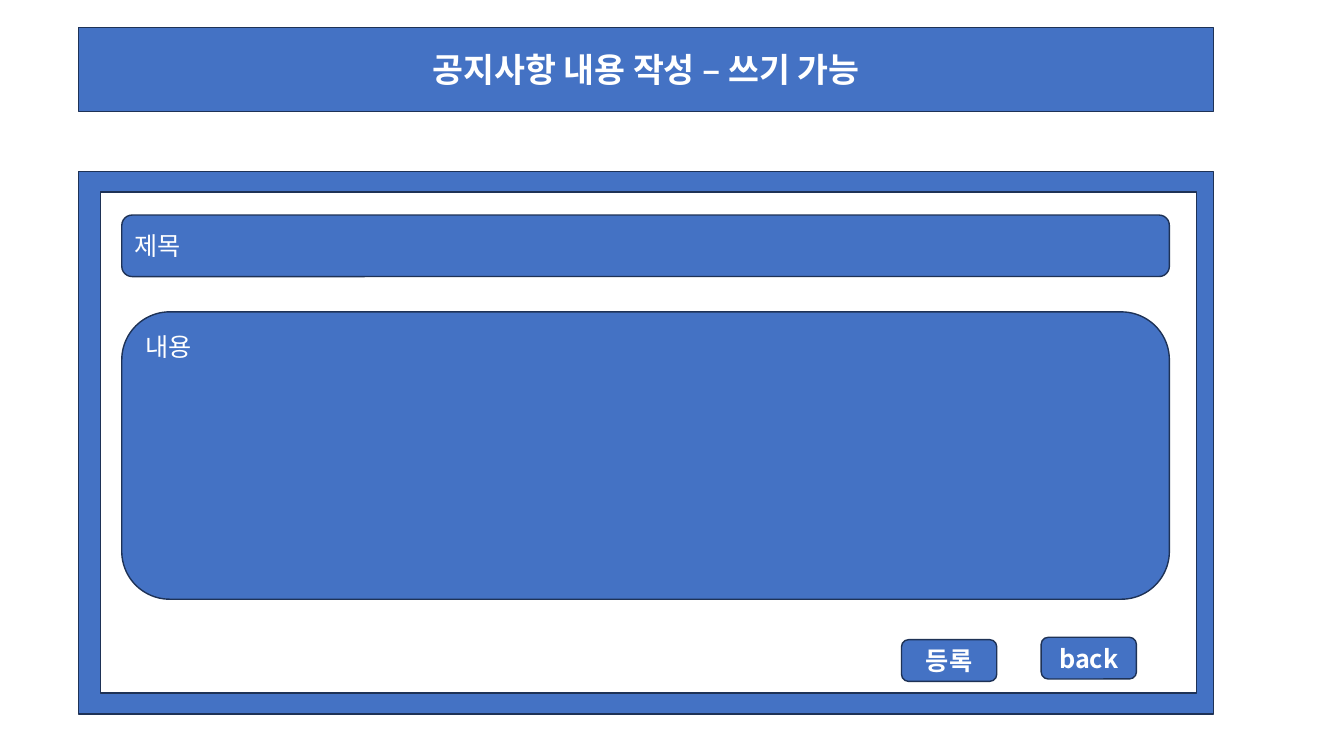
"""Build the notice writing form slide."""
from dataclasses import dataclass

from lxml import etree
from pptx import Presentation
from pptx import util as u
from pptx.dml.color import RGBColor
from pptx.enum import shapes, text
from pptx.oxml.ns import qn


@dataclass(frozen=True)
class Theme:
    blue: RGBColor = RGBColor(0x44, 0x72, 0xC4)
    outline: RGBColor = RGBColor(0x1E, 0x32, 0x56)
    white: RGBColor = RGBColor(0xFF, 0xFF, 0xFF)
    font: str = "Noto Sans CJK KR"
    title: u.Pt = u.Pt(24)
    body: u.Pt = u.Pt(18)


theme = Theme()
RECT = shapes.MSO_SHAPE.RECTANGLE
ROUND = shapes.MSO_SHAPE.ROUNDED_RECTANGLE
LEFT, CENTER = text.PP_ALIGN.LEFT, text.PP_ALIGN.CENTER
TOP, MIDDLE = text.MSO_ANCHOR.TOP, text.MSO_ANCHOR.MIDDLE


def paint(sp, fill):
    """Give a shape its fill and the common outline."""
    sp.shadow.inherit = False
    sp.fill.solid()
    sp.fill.fore_color.rgb = fill
    sp.line.color.rgb = theme.outline
    sp.line.width = u.Pt(1)


def write(sp, label, size, bold, align, anchor):
    """Put one line of white text in a shape."""
    tf = sp.text_frame
    tf.text = label
    tf.word_wrap = True
    tf.auto_size = text.MSO_AUTO_SIZE.NONE
    tf.vertical_anchor = anchor
    p = tf.paragraphs[0]
    p.alignment = align
    p.font.size = size
    p.font.bold = bold
    p.font.color.rgb = theme.white
    p.font.name = theme.font
    props = p._p.pPr.find(qn("a:defRPr"))
    etree.SubElement(props, qn("a:ea"), typeface=theme.font)


prs = Presentation()
prs.slide_width, prs.slide_height = u.Cm(33.87), u.Cm(19.05)
s = prs.slides.add_slide(prs.slide_layouts[5])

title = s.shapes.title
title.left, title.top = u.Cm(1.98), u.Cm(0.69)
title.width, title.height = u.Cm(28.6), u.Cm(2.12)
paint(title, theme.blue)
write(title, "공지사항 내용 작성 – 쓰기 가능", theme.title, True, CENTER, MIDDLE)

panels = [
    (1.98, 4.32, 28.6, 13.67, theme.blue),
    (2.54, 4.84, 27.61, 12.62, theme.white),
]
for left, top, width, height, fill in panels:
    panel = s.shapes.add_shape(RECT, u.Cm(left), u.Cm(top), u.Cm(width), u.Cm(height))
    paint(panel, fill)

fields = [
    ("제목", 3.07, 5.42, 26.4, 1.55, False, LEFT, MIDDLE),
    ("내용", 3.07, 7.86, 26.4, 7.24, False, LEFT, TOP),
    ("back", 26.24, 16.06, 2.4, 1.05, True, CENTER, MIDDLE),
    ("등록", 22.72, 16.12, 2.4, 1.05, True, CENTER, MIDDLE),
]
for label, left, top, width, height, bold, align, anchor in fields:
    field = s.shapes.add_shape(ROUND, u.Cm(left), u.Cm(top), u.Cm(width), u.Cm(height))
    paint(field, theme.blue)
    write(field, label, theme.body, bold, align, anchor)

prs.save("out.pptx")
